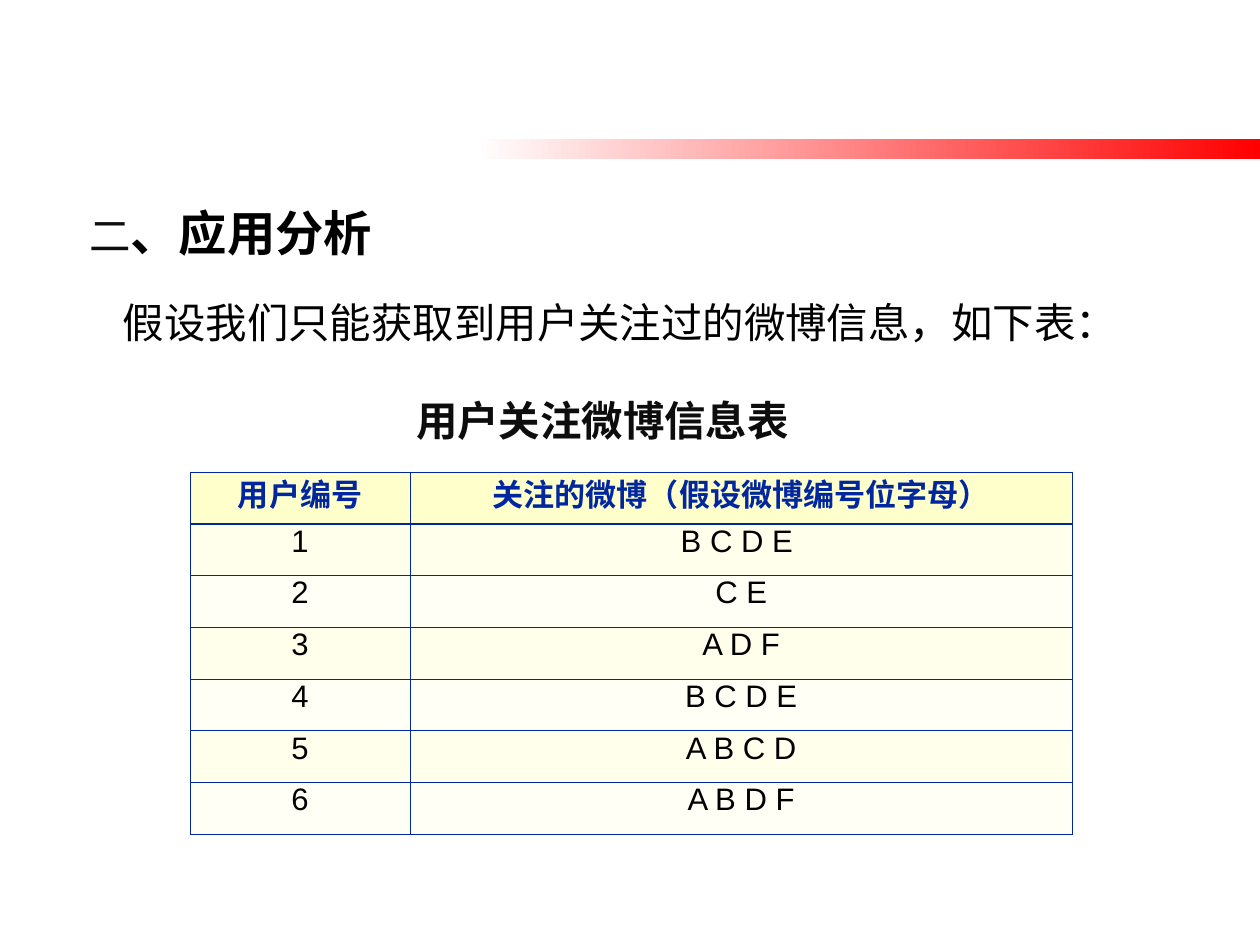
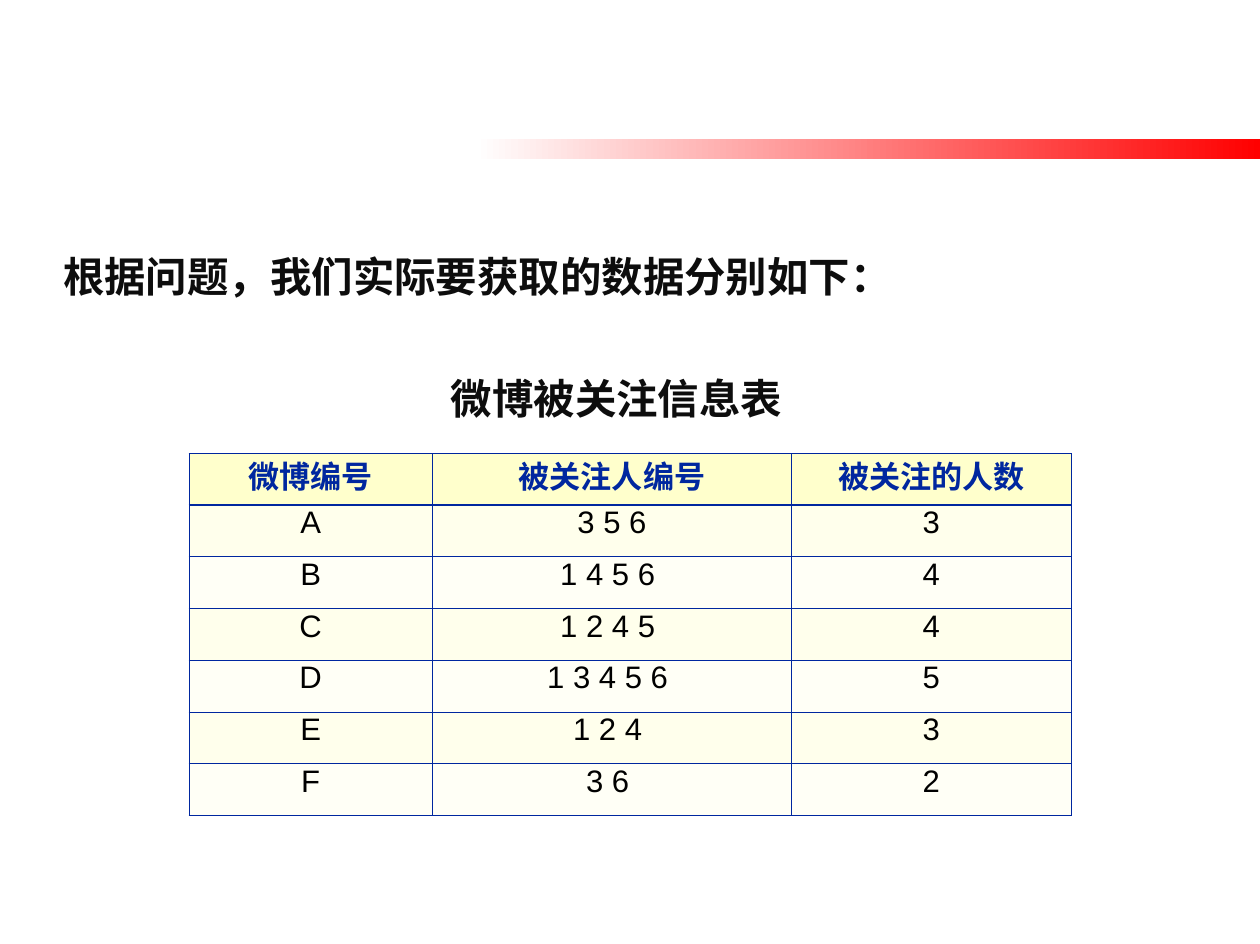
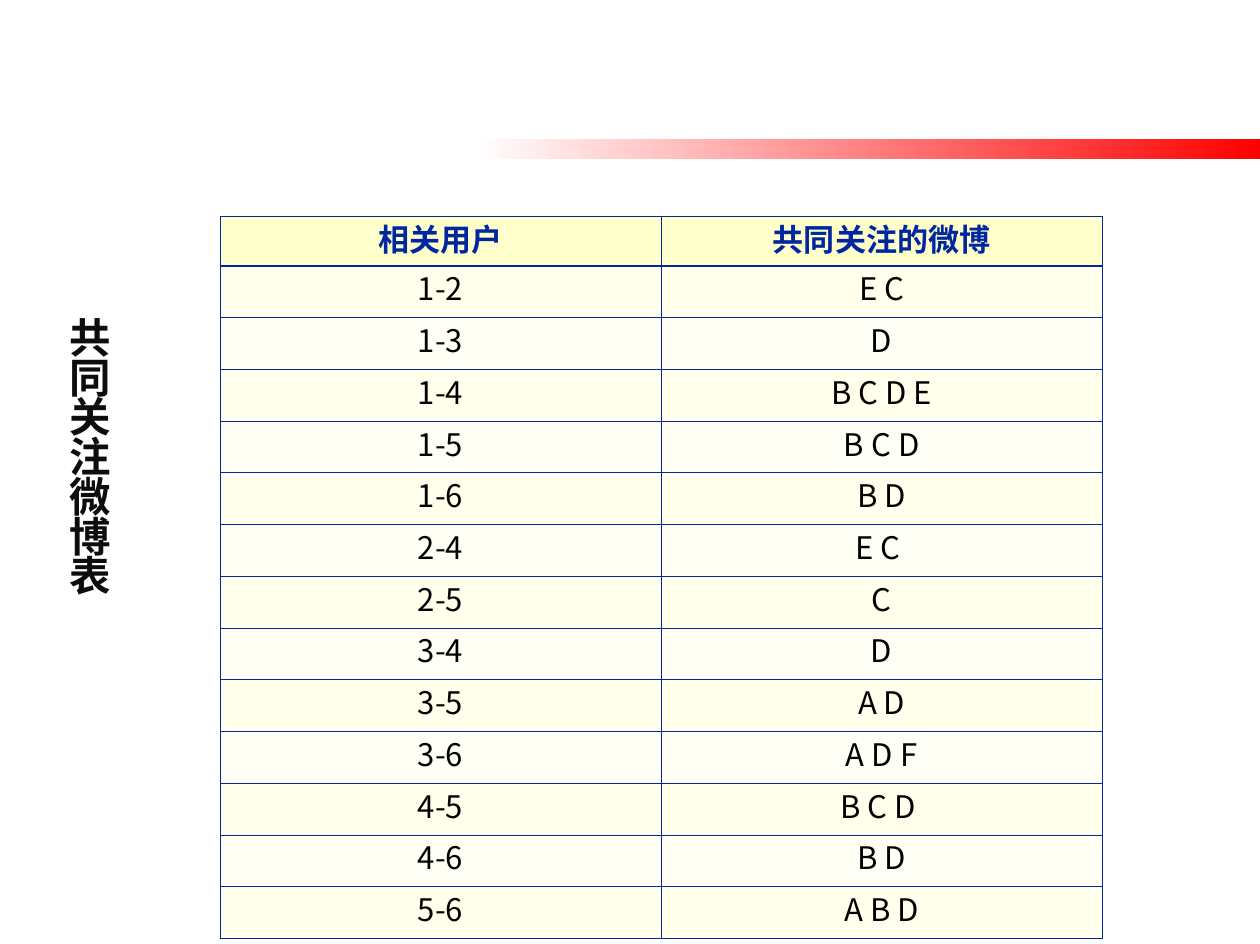
from pptx import Presentation, util as u
from pptx.dml.color import RGBColor
from pptx.enum import shapes, text
from pptx.oxml.ns import qn
from lxml import etree

W, H = 10.14, 7.6
SANS, LATIN = "Noto Sans CJK SC", "Arial"
NAVY, INK, BLACK = "00279F", "0D0D0D", "000000"
HEAD_FILL, ROW_FILLS = "FFFFCC", ("FFFFEC", "FFFFF6")
THIN, THICK = 0.45, 1.47
ROW_H, TABLE_W = 2.5 / 6, 7.1
CAPTION = dict(name=SANS, size=24, bold=True, color=INK)

prs = Presentation()
prs.slide_width, prs.slide_height = u.Inches(W), u.Inches(H)


def rgb(value):
    return RGBColor.from_string(value)


def inches(*lengths):
    return [u.Inches(n) for n in lengths]


def add_run(p, words, color, size, **font):
    r = p.add_run()
    r.text = words
    r.font.size, r.font.color.rgb = u.Pt(size), rgb(color)
    for key, value in font.items():
        setattr(r.font, key, value)
    east = etree.SubElement(r._r.get_or_add_rPr(), qn("a:ea"))
    east.set("typeface", SANS)


def add_text(s, box, paragraphs, spacing):
    """Each paragraph is (left indent, points before, [(words, format), ...])."""
    tf = s.shapes.add_textbox(*inches(*box)).text_frame
    tf.word_wrap = True
    for i, (indent, before, runs) in enumerate(paragraphs):
        p = tf.add_paragraph() if i else tf.paragraphs[0]
        p.line_spacing, p.space_before = spacing, u.Pt(before)
        p._p.get_or_add_pPr().set("marL", str(u.Inches(indent)))
        for words, font in runs:
            add_run(p, words, **font)


def add_caption(s, box, words, spacing=0.8):
    add_text(s, box, [(0, 0, [(words, CAPTION)])], spacing)


def set_borders(cell, top, bottom):
    tcPr = cell._tc.get_or_add_tcPr()
    widths = {"lnL": THIN, "lnR": THIN, "lnT": top, "lnB": bottom}
    for i, (side, width) in enumerate(widths.items()):
        ln = etree.Element(qn("a:" + side), w=str(u.Pt(width)))
        fill = etree.SubElement(ln, qn("a:solidFill"))
        etree.SubElement(fill, qn("a:srgbClr"), val=NAVY)
        tcPr.insert(i, ln)


def add_grid(s, left, top, cols, rows, font=LATIN, head_h=ROW_H):
    height = head_h + ROW_H * (len(rows) - 1)
    table = s.shapes.add_table(
        len(rows), len(cols), *inches(left, top, TABLE_W, height)).table
    for col, width in zip(table.columns, cols):
        col.width = u.Inches(width)
    for i, values in enumerate(rows):
        head = i == 0
        table.rows[i].height = u.Inches(head_h if head else ROW_H)
        for j, value in enumerate(values):
            cell = table.cell(i, j)
            cell.fill.solid()
            cell.fill.fore_color.rgb = rgb(
                HEAD_FILL if head else ROW_FILLS[(i - 1) % 2])
            set_borders(cell, THICK if i == 1 else THIN, THICK if head else THIN)
            p = cell.text_frame.paragraphs[0]
            p.alignment, p.line_spacing = text.PP_ALIGN.CENTER, 0.8
            add_run(p, value, NAVY if head else BLACK, 18, name=font, bold=head)


def new_slide():
    s = prs.slides.add_slide(prs.slide_layouts[6])
    # Red band fading in from the left
    left, top = 3.82, 1.12
    band = s.shapes.add_shape(
        shapes.MSO_SHAPE.RECTANGLE, *inches(left, top, W - left, 0.16))
    band.shadow.inherit = False
    band.line.fill.background()
    band.fill.gradient()
    band.fill.gradient_angle = 0
    for stop, color, pos in zip(band.fill.gradient_stops, ("FFFFFF", "FF0000"), (0, 1)):
        stop.color.rgb, stop.position = rgb(color), pos
    return s


def followed_posts():
    s = new_slide()
    # Heading and introduction
    plain = dict(name=LATIN, size=24, color=BLACK)
    add_text(s, (0.54, 1.35, 9.09, 1.5), [
        (0.08, 0, [("二", dict(plain, color=INK)),
                   ("、应用分析", dict(plain, size=28, bold=True))]),
        (0.35, 6.5, [("假设我们只能获取到用户关注过的微博信息，如下表：", plain)]),
    ], 1.5)
    # Table with caption
    add_grid(s, 1.53, 3.8, (1.77, 5.33), [
        ("用户编号", "关注的微博（假设微博编号位字母）"),
        ("1", "B C D E "), ("2", "C E"), ("3", "A D F"),
        ("4", "B C D E"), ("5", "A B C D"), ("6", "A B D F"),
    ])
    add_caption(s, (3.25, 3.21, 3.4, 0.42), "用户关注微博信息表")


def followers():
    s = new_slide()
    # Introduction
    add_caption(s, (0.41, 1.77, 9.09, 0.7),
                "根据问题，我们实际要获取的数据分别如下：", 1.5)
    # Table with caption
    add_grid(s, 1.52, 3.65, (1.96, 2.89, 2.25), [
        ("微博编号", "被关注人编号", "被关注的人数"),
        ("A", "3 5 6", "3"), ("B", "1 4 5 6 ", "4"), ("C", "1 2 4 5 ", "4"),
        ("D", "1 3 4 5 6 ", "5"), ("E", "1 2 4 ", "3"), ("F", "3 6 ", "2"),
    ])
    add_caption(s, (3.53, 3.03, 3.1, 0.42), "微博被关注信息表")


def shared_posts():
    s = new_slide()
    # Table of user pairs
    add_grid(s, 1.77, 1.74, (TABLE_W / 2,) * 2, [
        ("相关用户", "共同关注的微博"),
        ("1-2", "E C"), ("1-3", "D"), ("1-4", "B C D E"), ("1-5", "B C D"),
        ("1-6", "B D"), ("2-4", "E C "), ("2-5", "C"), ("3-4", "D"),
        ("3-5", "A D"), ("3-6", "A D F"), ("4-5", "B C D "), ("4-6", "B D"),
        ("5-6", "A B D"),
    ], SANS, 0.4)
    # Caption, one character to a line
    add_caption(s, (0.46, 2.54, 0.67, 2.34), "共同关注微博表")


followed_posts()
followers()
shared_posts()
prs.save("out.pptx")
